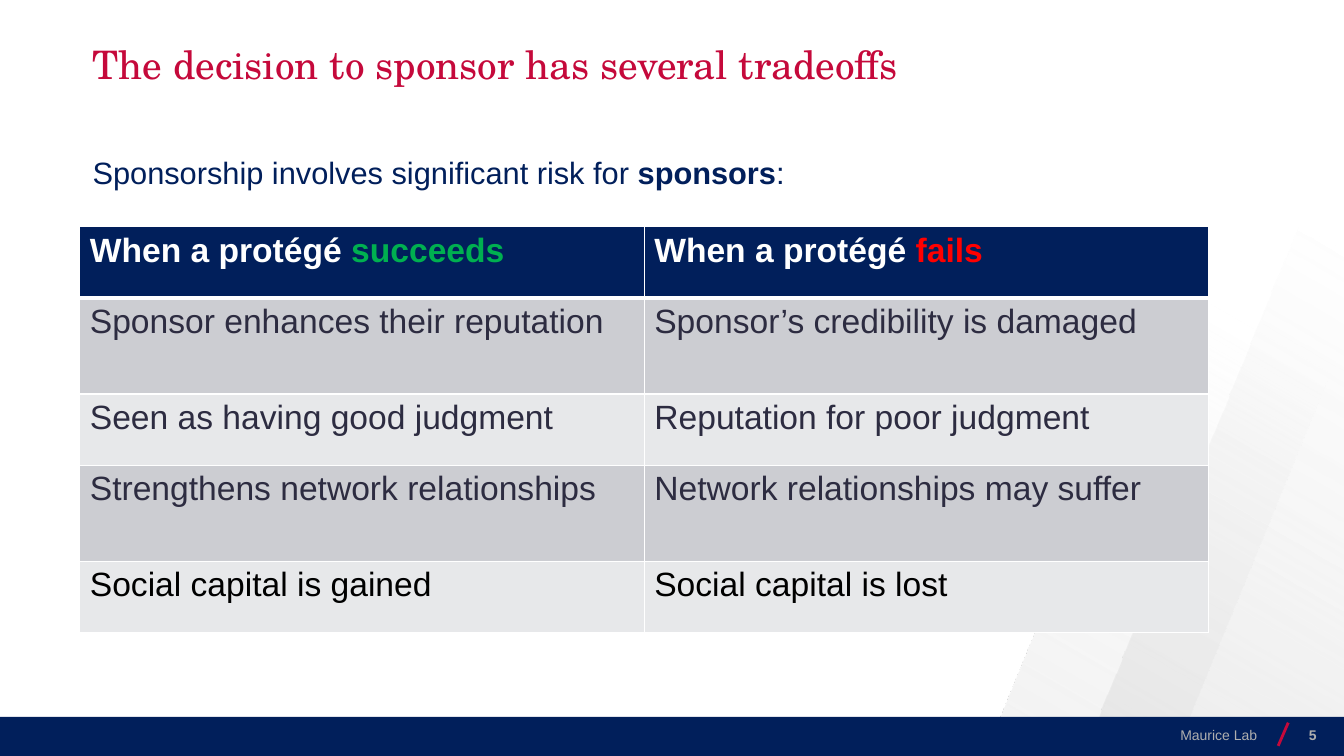
from lxml import etree
from pptx import Presentation
from pptx.dml.color import RGBColor
from pptx.enum import shapes, text
from pptx.oxml import parse_xml
from pptx.oxml.ns import nsdecls, qn
from pptx.util import Pt

# Content: each text is a list of (words, colour name, bold)
TITLE = [("The decision to sponsor has several tradeoffs", "red", False)]
LEAD = [("Sponsorship involves significant risk for ", "navy", False),
        ("sponsors", "navy", True), (":", "navy", False)]
FOOTER = [("Maurice Lab", "footer", False)]
PAGE = [("5", "footer", True)]
HEADER = [("succeeds", "green"), ("fails", "fail")]
OUTCOMES = [
    ("Sponsor enhances their reputation", "Sponsor’s credibility is damaged"),
    ("Seen as having good judgment", "Reputation for poor judgment"),
    ("Strengthens network relationships", "Network relationships may suffer"),
    ("Social capital is gained", "Social capital is lost"),
]
# Background bands: box, colour, gradient stops as (position %, alpha %)
BANDS = [
    ((702.7, 181.4, 282.2, 360.7), "F2F2F2", [(20, 0), (100, 100)]),
    ((771.8, -2.2, 425.5, 545), "D9D9D9", [(40, 0), (100, 50)]),
]

THEME = {
    "color": {"navy": "011F5B", "red": "C5093B", "footer": "AFAFAF",
              "white": "FFFFFF", "green": "00B050", "fail": "FF0000",
              "ink": "2D2C41", "black": "000000",
              "dark_row": "CCCDD2", "light_row": "E7E8EA"},
    "size": {"title": 28, "lead": 22, "table": 24, "footer": 10},
    "font": {"title": "TeX Gyre Schola", "body": "Arial"},
}

# Layout in points
SLIDE_W, SLIDE_H = 960, 540
TEXT_X, TEXT_W = 66.2, 828
TABLE_X, TABLE_Y, COL_W = 57, 162, 403.2
SHORT_ROW, TALL_ROW = 51, 68.5
FOOT_Y, FOOT_H = 510.5, 28.8


def rgb(name):
    return RGBColor.from_string(THEME["color"][name])


def add_runs(p, runs, size, font="body"):
    for words, color, bold in runs:
        r = p.add_run()
        r.text = words
        r.font.name = THEME["font"][font]
        r.font.size = Pt(THEME["size"][size])
        r.font.color.rgb = rgb(color)
        r.font.bold = bold


def add_text(s, box, runs, size, font="body", side=0, right=False):
    tf = s.shapes.add_textbox(*map(Pt, box)).text_frame
    tf.word_wrap = True
    tf.margin_left = tf.margin_right = Pt(side)
    p = tf.paragraphs[0]
    if right:
        tf.vertical_anchor = text.MSO_ANCHOR.MIDDLE
        p.alignment = text.PP_ALIGN.RIGHT
    add_runs(p, runs, size, font)
    return p


def add_shape(s, kind, box):
    sp = s.shapes.add_shape(kind, *map(Pt, box))
    sp.shadow.inherit = False
    sp.line.fill.background()
    return sp


def add_band(s, box, color, stops):
    sp = add_shape(s, shapes.MSO_SHAPE.PARALLELOGRAM, box)
    sp.rotation = 180
    sp.adjustments[0] = 0.522
    stop_xml = "".join(
        f'<a:gs pos="{pos * 1000}"><a:srgbClr val="{color}">'
        f'<a:alpha val="{alpha * 1000}"/></a:srgbClr></a:gs>'
        for pos, alpha in stops)
    grad = parse_xml(
        f'<a:gradFill {nsdecls("a")} rotWithShape="1"><a:gsLst>{stop_xml}</a:gsLst>'
        f'<a:lin ang="{300 * 60000}" scaled="0"/></a:gradFill>')
    sp._element.spPr.find(qn("a:prstGeom")).addnext(grad)


def set_borders(cell, top, bottom):
    tcPr = cell._tc.get_or_add_tcPr()
    widths = {"L": 1, "R": 1, "T": top, "B": bottom}
    for i, (edge, width) in enumerate(widths.items()):
        tcPr.insert(i, parse_xml(
            f'<a:ln{edge} {nsdecls("a")} w="{Pt(width)}"><a:solidFill>'
            f'<a:srgbClr val="{THEME["color"]["white"]}"/></a:solidFill></a:ln{edge}>'))


def add_outcome_table(s):
    rows = [[[("When a protégé ", "white", True), (word, color, True)]
             for word, color in HEADER]]
    for i, pair in enumerate(OUTCOMES, 1):
        color = "black" if i == len(OUTCOMES) else "ink"
        rows.append([[(words, color, False)] for words in pair])
    heights = [TALL_ROW if i % 2 else SHORT_ROW for i in range(len(rows))]
    table = s.shapes.add_table(
        len(rows), len(HEADER), Pt(TABLE_X), Pt(TABLE_Y),
        Pt(COL_W * len(HEADER)), Pt(sum(heights))).table
    for col in table.columns:
        col.width = Pt(COL_W)
    for i, row in enumerate(rows):
        table.rows[i].height = Pt(heights[i])
        fill = "navy" if i == 0 else "dark_row" if i % 2 else "light_row"
        for j, runs in enumerate(row):
            cell = table.cell(i, j)
            cell.fill.solid()
            cell.fill.fore_color.rgb = rgb(fill)
            set_borders(cell, top=3 if i == 1 else 1, bottom=3 if i == 0 else 1)
            add_runs(cell.text_frame.paragraphs[0], runs, "table")


def main():
    prs = Presentation()
    prs.slide_width, prs.slide_height = Pt(SLIDE_W), Pt(SLIDE_H)
    s = prs.slides.add_slide(prs.slide_layouts[6])

    # Background bands and footer bar
    for band in BANDS:
        add_band(s, *band)
    bar = add_shape(s, shapes.MSO_SHAPE.RECTANGLE, (0, 512, SLIDE_W, 30))
    bar.fill.solid()
    bar.fill.fore_color.rgb = rgb("navy")
    slash = s.shapes.add_connector(
        shapes.MSO_CONNECTOR.STRAIGHT, Pt(913), Pt(532.8), Pt(920.2), Pt(516.2))
    slash.line.color.rgb = rgb("red")
    slash.line.width = Pt(2)
    etree.SubElement(slash._element.spPr, qn("a:effectLst"))

    # Title and lead sentence
    p = add_text(s, (TEXT_X, 28.8, TEXT_W, 38.2), TITLE, "title", "title")
    p.line_spacing = 0.9
    p = add_text(s, (TEXT_X, 103, TEXT_W, 42), LEAD, "lead")
    p.line_spacing = 1.13
    p.space_after = Pt(2)

    # Footer text
    add_text(s, (581, FOOT_Y, 324, FOOT_H), FOOTER, "footer", side=7.2, right=True)
    add_text(s, (908.6, FOOT_Y, 38.9, FOOT_H), PAGE, "footer", side=7.2, right=True)

    add_outcome_table(s)
    prs.save("out.pptx")


if __name__ == "__main__":
    main()
